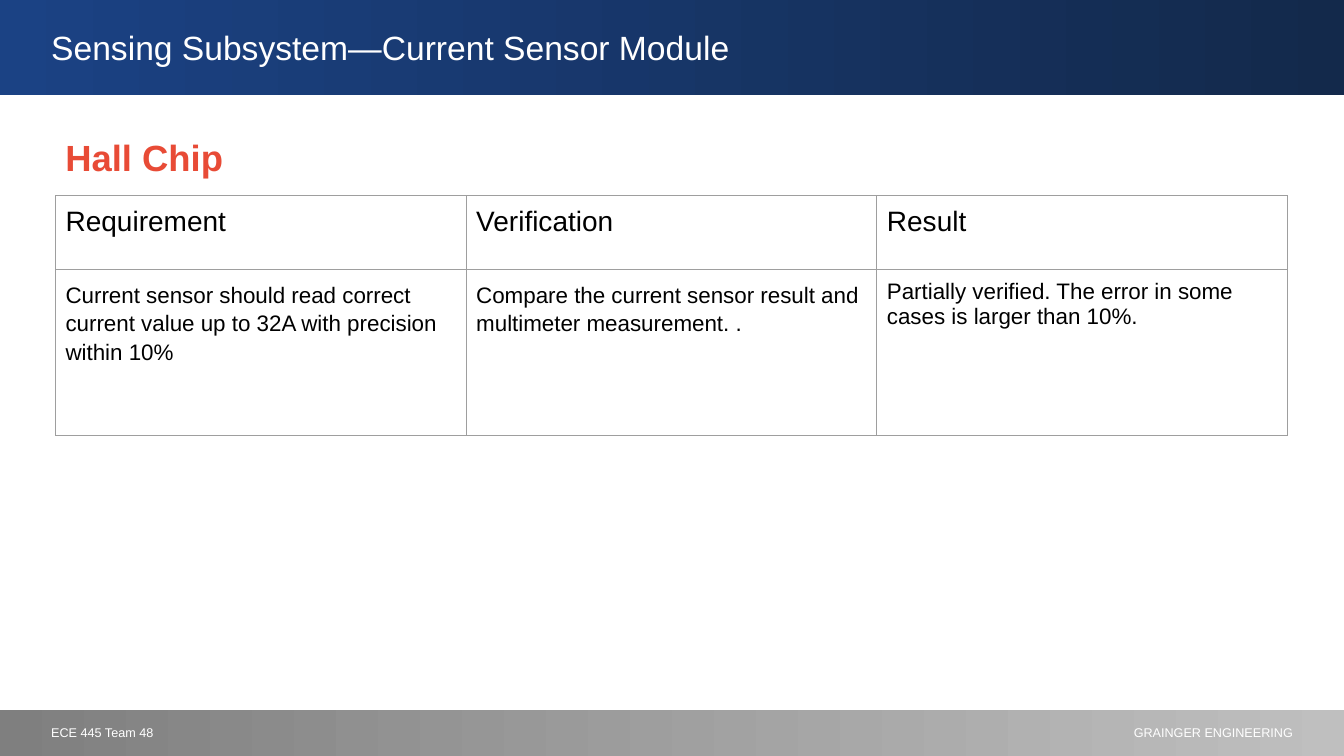
from lxml.etree import SubElement
from pptx import Presentation
from pptx.dml.color import RGBColor
from pptx.enum.shapes import MSO_SHAPE
from pptx.enum.text import PP_ALIGN
from pptx.oxml.ns import qn
from pptx.util import Inches, Pt

WIDE, HIGH = 13.33, 7.5
WHITE, BLACK, ORANGE, GRID = "FFFFFF", "000000", "E84B36", "9E9E9E"
HEADS = ["Requirement", "Verification", "Result"]
# Each entry: text, line spacing
CHECKS = [
    ("Current sensor should read correct current value up to 32A "
     "with precision within 10%", 1.15),
    ("Compare the current sensor result and multimeter measurement. .", 1.15),
    ("Partially verified. The error in some cases is larger than 10%.", None),
]


def color(code):
    return RGBColor.from_string(code)


def write(frame, text, size, code, bold=False, align=None, gap=None):
    """Put one styled run into the first paragraph of a frame."""
    frame.word_wrap = True
    para = frame.paragraphs[0]
    para.alignment = align
    if gap:
        para.line_spacing = gap
    run = para.add_run()
    run.text = text
    font = run.font
    font.name, font.size, font.bold = "Arial", Pt(size), bold
    font.color.rgb = color(code)


def label(slide, box, text, size, code, **style):
    shape = slide.shapes.add_textbox(*map(Inches, box))
    write(shape.text_frame, text, size, code, **style)


def band(slide, top, high, start, end):
    """Draw a full-width bar that fades from left to right."""
    bar = slide.shapes.add_shape(
        MSO_SHAPE.RECTANGLE, 0, Inches(top), Inches(WIDE), Inches(high))
    bar.shadow.inherit = False
    bar.line.fill.background()
    bar.fill.gradient()
    bar.fill.gradient_angle = 0
    for stop, code in zip(bar.fill.gradient_stops, (start, end)):
        stop.color.rgb = color(code)


def header(slide, top, high):
    band(slide, top, high, "1B4284", "13294B")
    label(slide, (0.41, top + 0.23, 11.93, 0.5),
          "Sensing Subsystem—Current Sensor Module", 24, WHITE)


def footer(slide, top, high):
    band(slide, top, high, "7F7F7F", "BFBFBF")
    label(slide, (0.41, top + 0.1, 8.74, 0.25), "ECE 445 Team 48", 9, WHITE)
    label(slide, (10.21, top + 0.1, 2.71, 0.25), "GRAINGER ENGINEERING",
          9, WHITE, align=PP_ALIGN.RIGHT)


def frame_cell(cell):
    """Give a cell thin borders, even margins and no fill."""
    props = cell._tc.get_or_add_tcPr()
    for side in ("lnL", "lnR", "lnT", "lnB"):
        line = SubElement(props, qn("a:" + side), w=str(Pt(0.75)))
        fill = SubElement(line, qn("a:solidFill"))
        SubElement(fill, qn("a:srgbClr"), val=GRID)
    cell.fill.background()
    cell.margin_left = cell.margin_right = Inches(0.1)
    cell.margin_top = cell.margin_bottom = Inches(0.1)


def results(slide, left, top, wide, highs):
    """Place the table of requirements and test results."""
    table = slide.shapes.add_table(
        len(highs), len(HEADS), Inches(left), Inches(top),
        Inches(wide), Inches(sum(highs))).table
    table.first_row = table.horz_banding = False
    for row, high in zip(table.rows, highs):
        row.height = Inches(high)
    for col, (head, (check, gap)) in enumerate(zip(HEADS, CHECKS)):
        write(table.cell(0, col).text_frame, head, 20, BLACK)
        write(table.cell(1, col).text_frame, check, 16, BLACK, gap=gap)
    for cell in table.iter_cells():
        frame_cell(cell)


def main():
    deck = Presentation()
    deck.slide_width, deck.slide_height = Inches(WIDE), Inches(HIGH)
    slide = deck.slides.add_slide(deck.slide_layouts[6])
    label(slide, (0.55, 1.25, 12.22, 5.71), "Hall Chip", 26, ORANGE,
          bold=True, gap=1.1)
    footer(slide, 7.04, 0.46)
    header(slide, -0.01, 0.95)
    results(slide, 0.55, 1.94, 12.22, (0.73, 1.65))
    deck.save("out.pptx")


if __name__ == "__main__":
    main()
